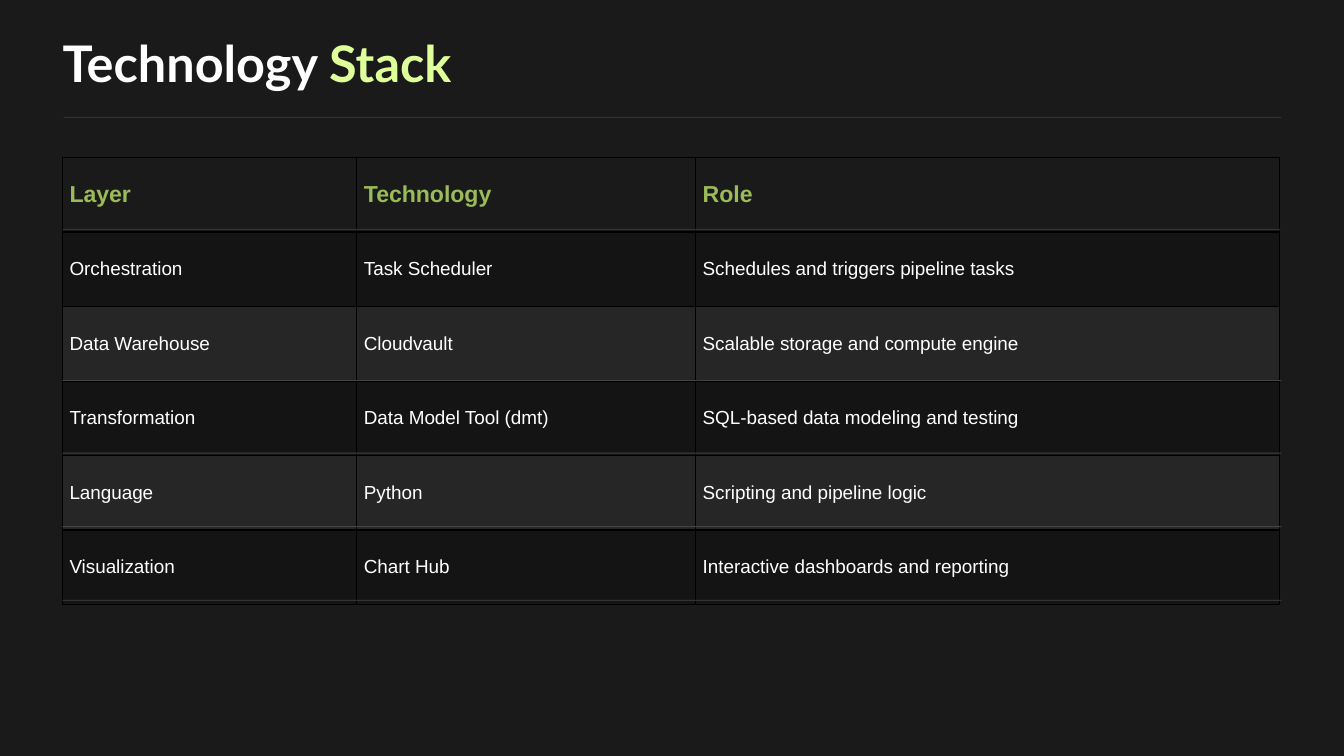
from dataclasses import dataclass

from lxml.etree import SubElement
from pptx import Presentation
from pptx.dml.color import RGBColor
from pptx.enum.shapes import MSO_SHAPE
from pptx.enum.text import MSO_ANCHOR, MSO_AUTO_SIZE
from pptx.oxml.ns import qn
from pptx.util import Pt

PX = 9144  # 100 px to the inch


@dataclass(frozen=True)
class Theme:
    back: str = "1A1A1A"
    white: str = "FFFFFF"
    lime: str = "DEFF9A"
    green: str = "9BBB59"
    black: str = "000000"
    band: str = "262626"
    rule: str = "333333"
    split: str = "444444"
    shade: int = 20
    title: float = 36
    head: float = 16.5
    body: float = 13.5
    title_font: str = "Lato"
    body_font: str = "Arial"


THEME = Theme()

ROWS = [
    ("Layer", "Technology", "Role"),
    ("Orchestration", "Task Scheduler", "Schedules and triggers pipeline tasks"),
    ("Data Warehouse", "Cloudvault", "Scalable storage and compute engine"),
    ("Transformation", "Data Model Tool (dmt)", "SQL-based data modeling and testing"),
    ("Language", "Python", "Scripting and pipeline logic"),
    ("Visualization", "Chart Hub", "Interactive dashboards and reporting"),
]
COLS = (292, 336, 579)


def px(*nums):
    return [n * PX for n in nums]


def rgb(code):
    return RGBColor.from_string(code)


def style(font, name, size, bold, color=None):
    font.name, font.size, font.bold = name, Pt(size), bold
    if color:
        font.color.rgb = rgb(color)


def add_rule(slide, left, top, width, color):
    bar = slide.shapes.add_shape(MSO_SHAPE.RECTANGLE, *px(left, top, width, 1))
    bar.shadow.inherit = False
    bar.fill.solid()
    bar.fill.fore_color.rgb = rgb(color)
    bar.line.fill.background()


def add_title(slide, left, top, width, height):
    box = slide.shapes.add_textbox(*px(left, top, width, height))
    frame = box.text_frame
    frame.word_wrap = True
    frame.auto_size = MSO_AUTO_SIZE.SHAPE_TO_FIT_TEXT
    frame.margin_left = frame.margin_right = frame.margin_top = frame.margin_bottom = 0
    para = frame.paragraphs[0]
    para.line_spacing = 1.2
    style(para.font, THEME.title_font, THEME.title, True)
    for word, color in (("Technology ", THEME.white), ("Stack", THEME.lime)):
        run = para.add_run()
        run.text = word
        run.font.color.rgb = rgb(color)
    # Line under the title
    add_rule(slide, left + 1, top + 96, 1208, THEME.rule)


def set_edges(cell, row):
    props = cell._tc.get_or_add_tcPr()
    for side in ("L", "R", "T", "B"):
        thick = (row, side) in ((0, "B"), (1, "T"))
        line = SubElement(props, qn(f"a:ln{side}"), w=str(Pt(2 if thick else 1)))
        fill = SubElement(line, qn("a:solidFill"))
        SubElement(fill, qn("a:srgbClr"), val=THEME.black)


def set_fill(cell, row):
    if row == 0:
        cell.fill.background()
        return
    dark = row % 2 == 1
    cell.fill.solid()
    cell.fill.fore_color.rgb = rgb(THEME.black if dark else THEME.band)
    if dark:
        tint = cell._tc.tcPr.find(qn("a:solidFill")).find(qn("a:srgbClr"))
        SubElement(tint, qn("a:alpha"), val=str(THEME.shade * 1000))


def add_stack(slide, left, top, width, height):
    frame = slide.shapes.add_table(len(ROWS), len(COLS), *px(left, top, width, height))
    table = frame.table
    table.horz_banding = False
    for col, wide in zip(table.columns, COLS):
        col.width = wide * PX
    for row, words in enumerate(ROWS):
        table.rows[row].height = height * PX // len(ROWS)
        for col, word in enumerate(words):
            cell = table.cell(row, col)
            cell.text = word
            cell.vertical_anchor = MSO_ANCHOR.MIDDLE
            cell.margin_left = cell.margin_right = 7 * PX
            cell.margin_top = cell.margin_bottom = 3 * PX
            size, color = (THEME.body, THEME.white) if row else (THEME.head, THEME.green)
            para = cell.text_frame.paragraphs[0]
            style(para.font, THEME.body_font, size, row == 0, color)
            set_edges(cell, row)
            set_fill(cell, row)

    # Line under the header, then split lines under the lower rows
    add_rule(slide, left, top + 71, 1208, THEME.rule)
    for step in range(4):
        start = left
        for wide in (COLS[0] + 2, *COLS[1:]):
            add_rule(slide, start, top + 221 + step * 218 // 3, wide, THEME.split)
            start += wide


def main():
    deck = Presentation()
    deck.slide_width, deck.slide_height = px(1333, 750)
    slide = deck.slides.add_slide(deck.slide_layouts[6])
    slide.background.fill.solid()
    slide.background.fill.fore_color.rgb = rgb(THEME.back)
    add_title(slide, 62, 20, 1269, 61)
    add_stack(slide, 62, 156, sum(COLS), 444)
    deck.save("out.pptx")


if __name__ == "__main__":
    main()
